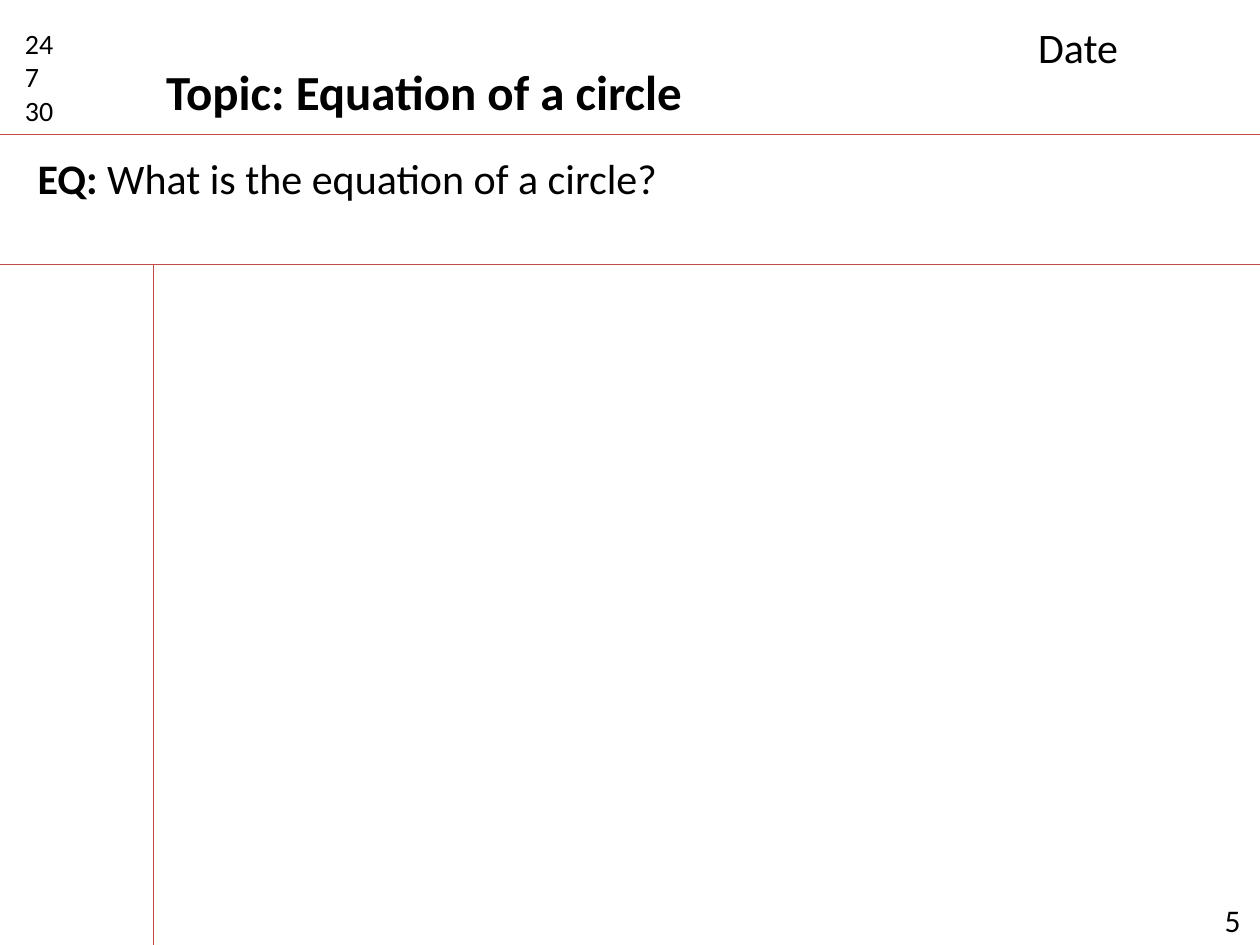
from lxml import etree
from pptx import Presentation
from pptx import util as u
from pptx.dml import color
from pptx.enum import shapes, text
from pptx.oxml import ns

COLORS = {"ink": "000000", "rule": "BF4C48", "paper": "FFFFFF"}


class NotesPage:
    """Draws text and rules on a page gridded in 100 columns by 75 rows."""

    def __init__(self, deck, font="Calibri"):
        self.page = deck.slides.add_slide(deck.slide_layouts[6])
        self.column = deck.slide_width / 100
        self.row = deck.slide_height / 75
        self.font = font
        fill = self.page.background.fill
        fill.solid()
        fill.fore_color.rgb = self.color("paper")

    def color(self, name):
        return color.RGBColor.from_string(COLORS[name])

    def place(self, column, row):
        return u.Emu(round(column * self.column)), u.Emu(round(row * self.row))

    def rule(self, start, end):
        line = self.page.shapes.add_connector(
            shapes.MSO_CONNECTOR.STRAIGHT, *self.place(*start), *self.place(*end))
        line.line.color.rgb = self.color("rule")
        line.line.width = u.Pt(0.75)
        etree.SubElement(line._element.spPr, ns.qn("a:effectLst"))

    def label(self, corner, extent, size, *paragraphs, wrap=True):
        box = self.page.shapes.add_textbox(*self.place(*corner), *self.place(*extent))
        frame = box.text_frame
        frame.word_wrap = wrap
        frame.auto_size = text.MSO_AUTO_SIZE.SHAPE_TO_FIT_TEXT
        for index, spans in enumerate(paragraphs):
            para = frame.add_paragraph() if index else frame.paragraphs[0]
            for words, bold in spans:
                span = para.add_run()
                span.text = words
                span.font.name = self.font
                span.font.size = u.Pt(size)
                span.font.bold = bold
                span.font.color.rgb = self.color("ink")


def main():
    deck = Presentation()
    deck.slide_width, deck.slide_height = u.Inches(10), u.Inches(7.5)
    notes = NotesPage(deck)
    header, question, margin = 10.7, 21, 12.2

    notes.label((96.2, 71), (5.5, 4), 18, [("5", False)])
    for row in (header, question):
        notes.rule((0, row), (100, row))
    notes.label((1, 1.6), (6.3, 9.1), 16,
                *([(number, False)] for number in ("24", "7", "30")))
    notes.rule((margin, question), (margin, 75))
    notes.label((margin, 4.4), (43.5, 5.7), 28,
                [("Topic: Equation of a circle", True)], wrap=False)
    notes.label((81.4, 1.2), (17.3, 5), 24, [("Date", False)])
    notes.label((2, 11.6), (93.6, 5), 24,
                [("EQ: ", True), ("What is the equation of a circle?", False)])
    deck.save("out.pptx")


if __name__ == "__main__":
    main()
